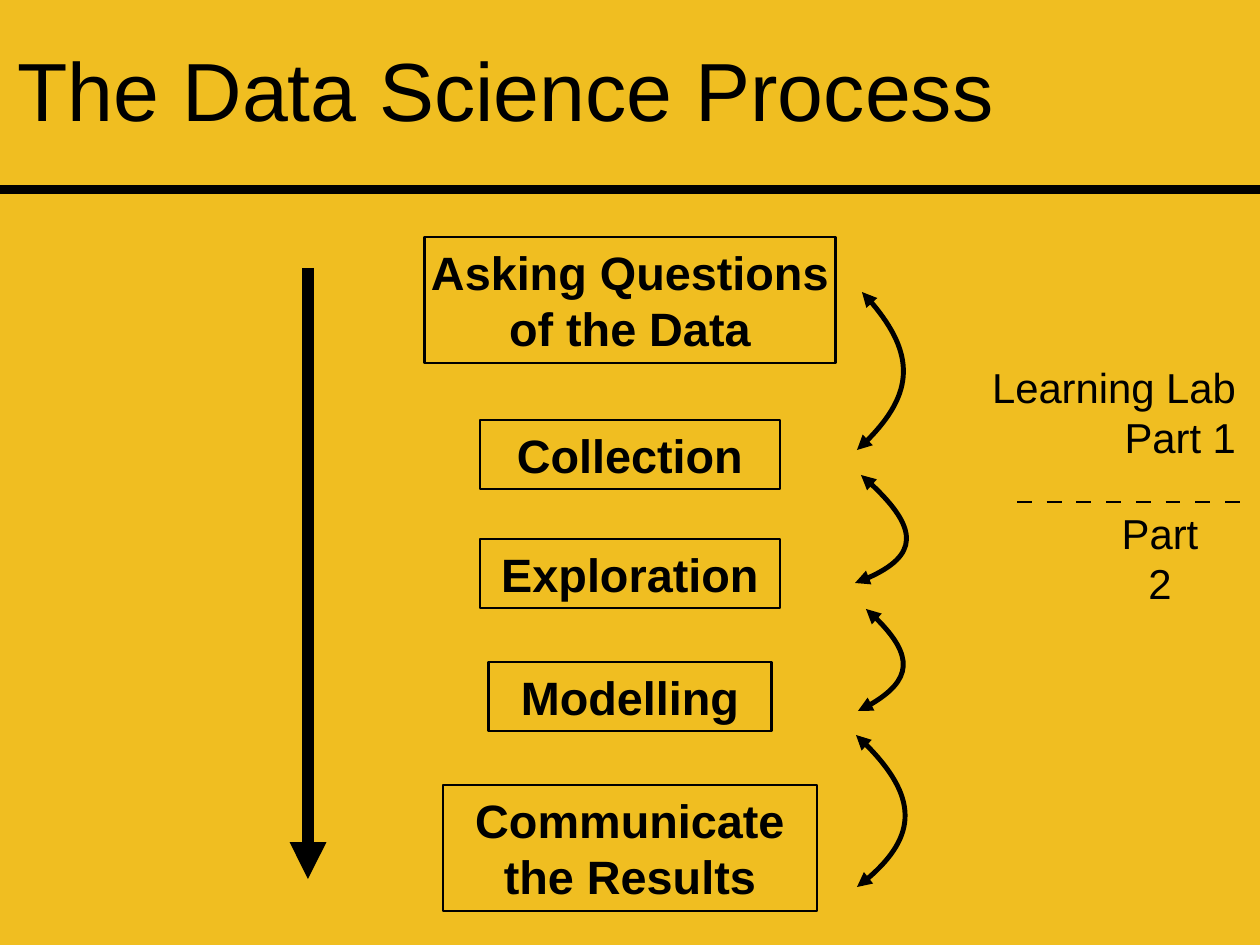
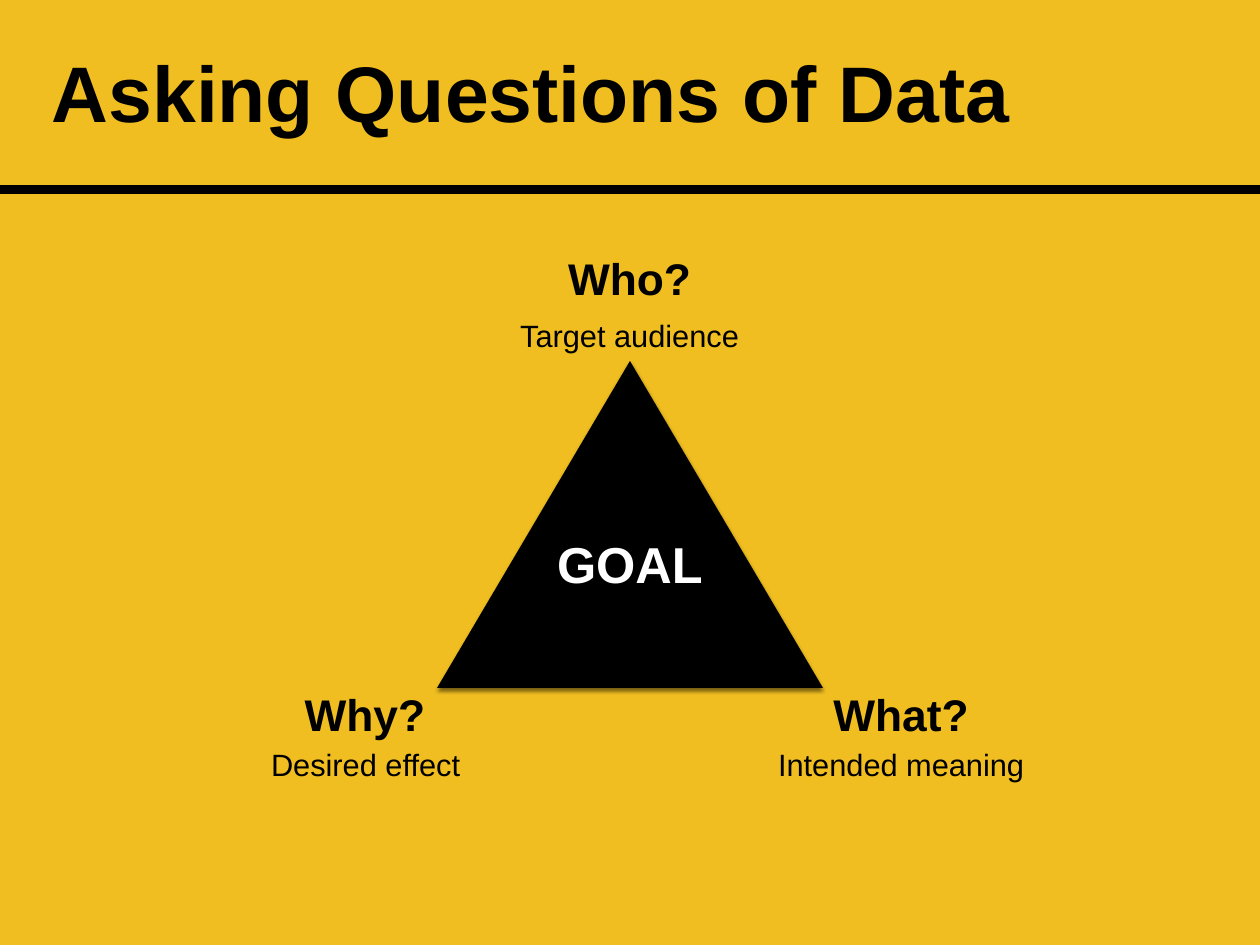
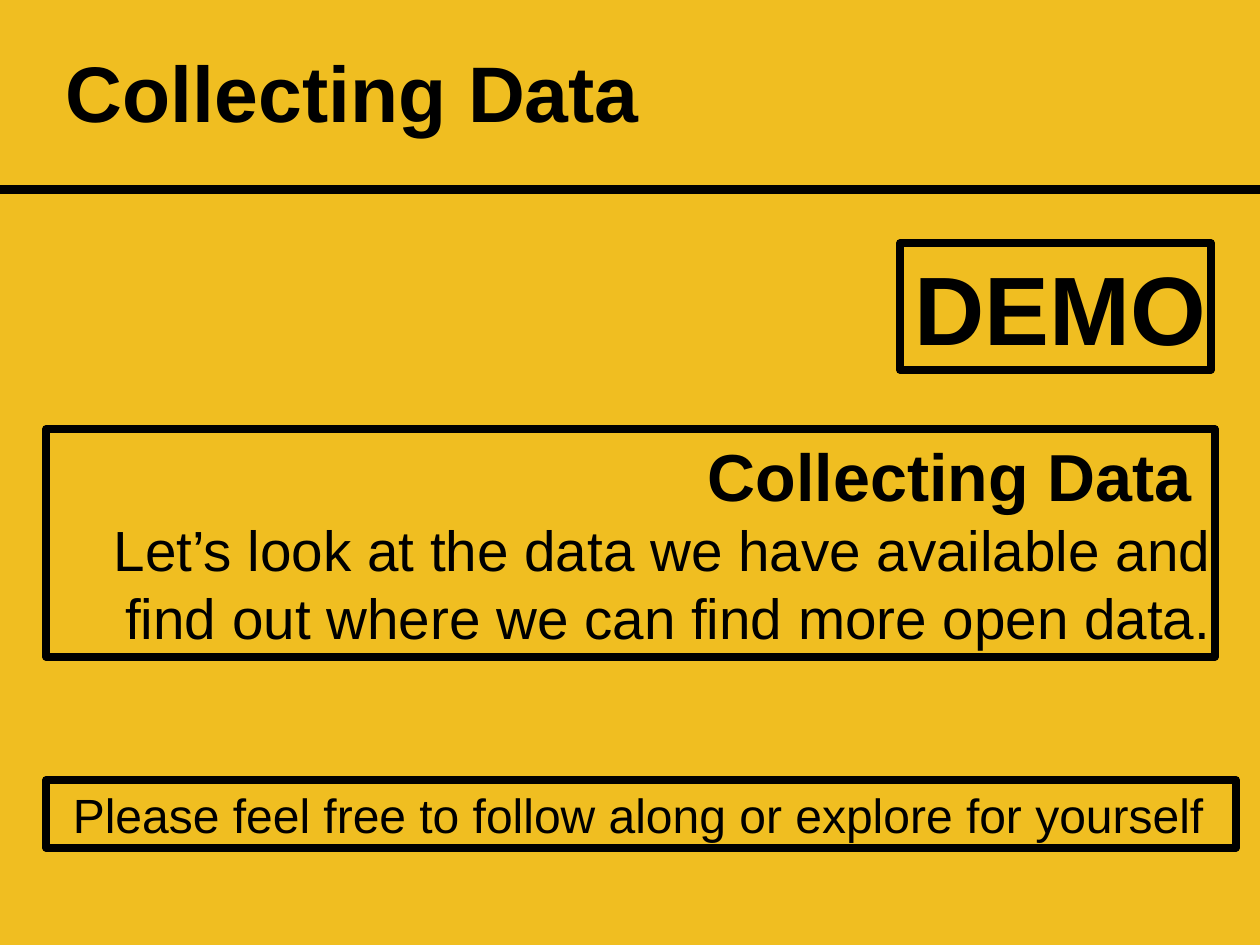
"""Build three slides on the data science process."""
from lxml.etree import SubElement
from pptx import Presentation
from pptx.dml.color import RGBColor
from pptx.enum.shapes import MSO_CONNECTOR, MSO_SHAPE
from pptx.enum.text import MSO_ANCHOR, PP_ALIGN
from pptx.oxml.ns import qn
from pptx.util import Pt

SCALE = 10320
WIDE, HIGH = 1260, 945
PAD = 5
GOLD, BLACK, WHITE = "F0BE21", "000000", "FFFFFF"
MID, RIGHT = PP_ALIGN.CENTER, PP_ALIGN.RIGHT

TITLES = [
    ("The Data Science Process", (12, 35, 987, 108), 67, False),
    ("Asking Questions of Data", (46, 39, 969, 105), 64, True),
    ("Collecting Data", (60, 39, 585, 105), 64, True),
]
STEPS = [
    ("Asking Questions of the Data", 237, 411, 126),
    ("Collection", 420, 300, 69),
    ("Exploration", 539, 300, 69),
    ("Modelling", 662, 283, 69),
    ("Communicate the Results", 785, 374, 126),
]
LOOPS = [
    [(857, 450), (914, 400), (916, 348), (862, 292)],
    [(855, 583), (918, 561), (920, 525), (861, 475)],
    [(858, 711), (912, 686), (915, 651), (866, 609)],
    [(857, 887), (918, 842), (918, 791), (856, 735)],
]
PARTS = [
    ("Learning Lab Part 1", (925, 356, 316, 111), RIGHT),
    ("Part 2", (1110, 503, 100, 110), MID),
]
CORNERS = [
    ("Who?", (563, 246, 133, 63), "Target audience", (513, 312, 233, 47)),
    ("Why?", (299, 682, 132, 63), "Desired effect", (264, 741, 203, 47)),
    ("What?", (828, 682, 146, 63), "Intended meaning", (770, 741, 262, 47)),
]
GOAL = ("GOAL", (437, 361, 386, 327))
PANELS = [
    ((900, 243, 311, 127), [("DEMO", 79, True)], PAD),
    ((46, 429, 1169, 228), [
        ("Collecting Data ", 54, True),
        ("Let’s look at the data we have available and find out where "
         "we can find more open data.", 46, False)], PAD),
    ((46, 780, 1190, 68), [
        ("Please feel free to follow along or explore for yourself",
         39, False)], 32),
]


def px(*vals):
    return [round(v * SCALE) for v in vals]


def color(code):
    return RGBColor.from_string(code)


def stroke(item, width):
    item.line.color.rgb = color(BLACK)
    item.line.width = Pt(width)
    return item.line._get_or_add_ln()


def tip(ln, *ends):
    for end in ends:
        SubElement(ln, qn("a:" + end), type="triangle")


def write(shape, lines, align=MID, tint=BLACK, wrap=True, edge=PAD):
    frame = shape.text_frame
    frame.word_wrap = wrap
    frame.vertical_anchor = MSO_ANCHOR.MIDDLE
    frame.margin_left, frame.margin_top, frame.margin_bottom = px(PAD, PAD, PAD)
    frame.margin_right, = px(edge)
    frame.text = "\n".join(line[0] for line in lines)
    for para, (_, size, bold) in zip(frame.paragraphs, lines):
        para.alignment = align
        font = para.font
        font.name, font.size, font.bold = "Arial", Pt(size), bold
        font.color.rgb = color(tint)


def label(slide, text, box, size, bold=False, align=MID, wrap=False):
    shape = slide.shapes.add_textbox(*px(*box))
    write(shape, [(text, size, bold)], align, wrap=wrap)


def frame_box(slide, box, width, lines, align=MID, edge=PAD):
    shape = slide.shapes.add_shape(MSO_SHAPE.RECTANGLE, *px(*box))
    shape.shadow.inherit = False
    shape.fill.background()
    stroke(shape, width)
    write(shape, lines, align, edge=edge)


def rule(slide, ends, width):
    line = slide.shapes.add_connector(MSO_CONNECTOR.STRAIGHT, *px(*ends))
    ln = stroke(line, width)
    SubElement(line._element.spPr, qn("a:effectLst"))
    return ln


def curve(slide, start, *rest):
    pen = slide.shapes.build_freeform(*start, scale=SCALE)
    pen.add_line_segments(rest, close=False)
    shape = pen.convert_to_shape()
    shape.shadow.inherit = False
    shape.fill.background()
    tip(stroke(shape, 4), "headEnd", "tailEnd")
    track = shape._element.find(".//" + qn("a:path"))
    bend = SubElement(track, qn("a:cubicBezTo"))
    for leg in track.findall(qn("a:lnTo")):
        bend.append(leg[0])
        track.remove(leg)


def start(deck, title):
    slide = deck.slides.add_slide(deck.slide_layouts[6])
    rule(slide, (-4, 189.5, WIDE + 4, 189.5), 7)
    label(slide, *title)
    return slide


def process(slide):
    for text, top, width, high in STEPS:
        box = ((WIDE - width) / 2, top, width, high)
        frame_box(slide, box, 2, [(text, 38, True)])
    tip(rule(slide, (308, 268, 308, 879), 10), "tailEnd")
    for loop in LOOPS:
        curve(slide, *loop)
    for text, box, align in PARTS:
        label(slide, text, box, 34, align=align, wrap=True)
    dash = SubElement(rule(slide, (1017, 502, 1244, 502), 2), qn("a:custDash"))
    SubElement(dash, qn("a:ds"), d="600000", sp="600000")


def asking(slide):
    text, box = GOAL
    goal = slide.shapes.add_shape(MSO_SHAPE.ISOSCELES_TRIANGLE, *px(*box))
    goal.shadow.inherit = False
    goal.fill.solid()
    goal.fill.fore_color.rgb = color(BLACK)
    goal.line.fill.background()
    glow = SubElement(goal._element.spPr.find(qn("a:effectLst")),
                      qn("a:outerShdw"), blurRad=str(Pt(3)), dist=str(Pt(2)),
                      dir="5400000", rotWithShape="0")
    tone = SubElement(glow, qn("a:srgbClr"), val=BLACK)
    SubElement(tone, qn("a:alpha"), val="50000")
    write(goal, [(text, 41, True)], tint=WHITE)
    goal.text_frame.vertical_anchor = MSO_ANCHOR.TOP
    goal.text_frame.margin_top, = px(9)
    for head, top, note, low in CORNERS:
        label(slide, head, top, 36, True)
        label(slide, note, low, 25)


def collect(slide):
    for box, lines, edge in PANELS:
        frame_box(slide, box, 6, lines, RIGHT, edge)


def main():
    deck = Presentation()
    deck.slide_width, deck.slide_height = px(WIDE, HIGH)
    back = deck.slide_master.background.fill
    back.solid()
    back.fore_color.rgb = color(GOLD)
    for title, fill in zip(TITLES, (process, asking, collect)):
        fill(start(deck, title))
    deck.save("out.pptx")


main()
